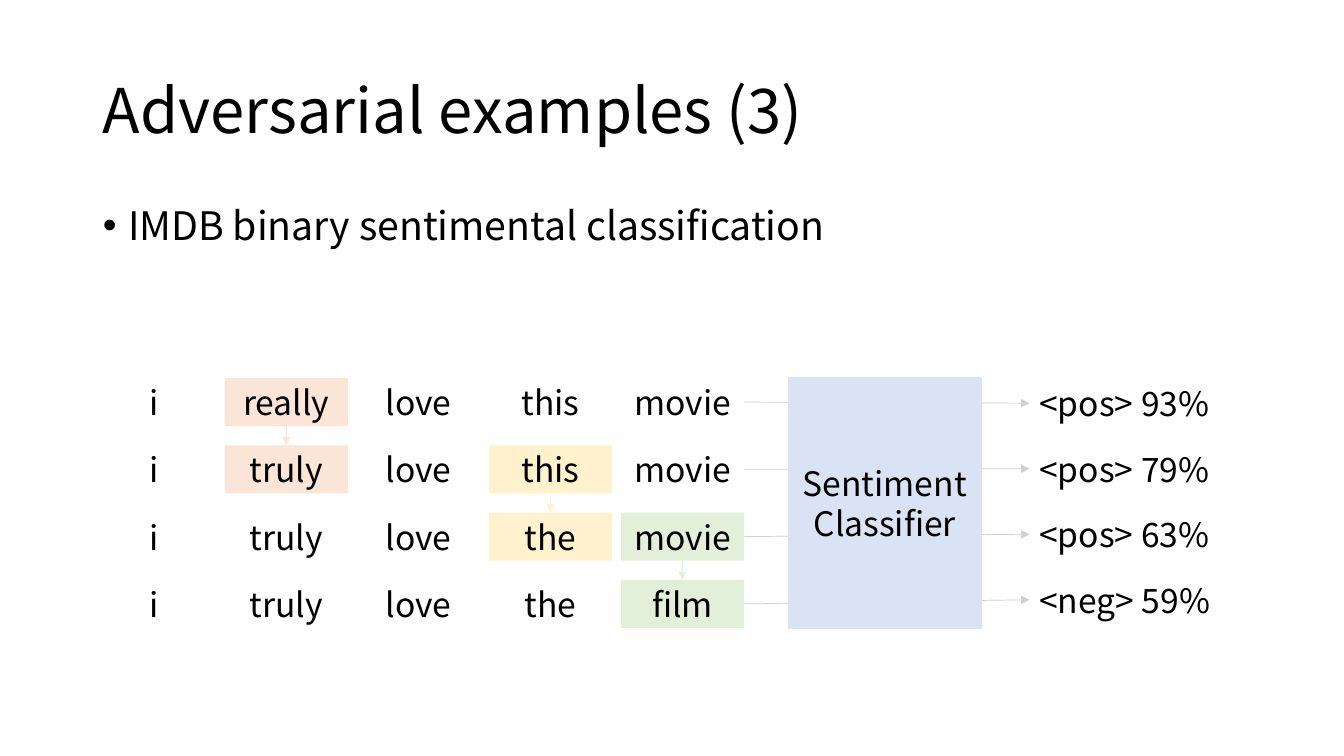
from lxml import etree
from pptx import Presentation
from pptx.dml.color import RGBColor
from pptx.enum.shapes import MSO_CONNECTOR, MSO_SHAPE
from pptx.enum.text import MSO_ANCHOR, MSO_AUTO_SIZE, PP_ALIGN
from pptx.oxml.ns import qn
from pptx.util import Inches, Pt

RECTANGLE = MSO_SHAPE.RECTANGLE
STRAIGHT = MSO_CONNECTOR.STRAIGHT
MIDDLE, TOP = MSO_ANCHOR.MIDDLE, MSO_ANCHOR.TOP
LEFT, CENTER = PP_ALIGN.LEFT, PP_ALIGN.CENTER
NO_AUTOFIT = MSO_AUTO_SIZE.NONE
SIDE_TOP, SIDE_LEFT, SIDE_BOTTOM, SIDE_RIGHT = range(4)

FONT = "Noto Sans CJK SC"
COLORS = {
    "text": "000000",
    "orange": "FBE5D6",
    "yellow": "FFF2CC",
    "green": "E2F0D9",
    "classifier": "DAE3F3",
    "flow": "D0CECE",
}

SENTENCES = [
    "i really love this movie",
    "i truly love this movie",
    "i truly love the movie",
    "i truly love the film",
]
# Column of the word swapped between each sentence and the next, with its color
SWAPS = [(1, "orange"), (3, "yellow"), (4, "green")]
PREDICTIONS = ["<pos> 93%", "<pos> 79%", "<pos> 63%", "<neg> 59%"]


def color(name):
    return RGBColor.from_string(COLORS[name])


def place(shape, box):
    shape.left, shape.top, shape.width, shape.height = (Inches(value) for value in box)


def write(shape, lines, size, align=LEFT, anchor=TOP):
    frame = shape.text_frame
    frame.word_wrap = True
    frame.auto_size = NO_AUTOFIT
    frame.vertical_anchor = anchor
    for index, line in enumerate(lines):
        para = frame.paragraphs[0] if index == 0 else frame.add_paragraph()
        para.alignment = align
        span = para.add_run()
        span.text = line
        span.font.name = FONT
        span.font.size = Pt(size)
        span.font.color.rgb = color("text")
    return frame


def add_box(page, box, lines, fill=None, align=CENTER, anchor=MIDDLE):
    """Add a filled rectangle, or a plain text box when there is no fill."""
    lengths = [Inches(value) for value in box]
    if fill:
        shape = page.shapes.add_shape(RECTANGLE, *lengths)
        shape.shadow.inherit = False
        shape.fill.solid()
        shape.fill.fore_color.rgb = color(fill)
        shape.line.fill.background()
    else:
        shape = page.shapes.add_textbox(*lengths)
    write(shape, lines, 24, align, anchor)
    return shape


def add_arrow(page, start, start_side, end, end_side, line_color, width):
    arrow = page.shapes.add_connector(STRAIGHT, 0, 0, 0, 0)
    arrow.begin_connect(start, start_side)
    arrow.end_connect(end, end_side)
    arrow.line.color.rgb = color(line_color)
    arrow.line.width = Pt(width)
    etree.SubElement(arrow.line._get_or_add_ln(), qn("a:tailEnd"), type="triangle")
    etree.SubElement(arrow._element.spPr, qn("a:effectLst"))


def add_title(page, box, text):
    title = page.shapes.title
    place(title, box)
    frame = write(title, [text], 44, anchor=MIDDLE)
    frame.paragraphs[0].line_spacing = 0.9


def add_bullet(page, box, text):
    body = page.placeholders[1]
    place(body, box)
    para = write(body, [text], 28).paragraphs[0]
    para.line_spacing = 0.9
    para.space_before = Pt(0)
    properties = para._p.get_or_add_pPr()
    properties.set("marL", str(Inches(0.25)))
    properties.set("indent", str(-Inches(0.25)))
    etree.SubElement(properties, qn("a:buFont"), typeface="Arial")
    etree.SubElement(properties, qn("a:buChar"), char="•")


def add_sentences(page, box):
    """Lay the words out in a grid, mark each swap, and return the last words."""
    left, top, width, height = box
    gap_x, gap_y = 0.09, 0.19
    rows = [sentence.split() for sentence in SENTENCES]
    cell_width = (width + gap_x) / len(rows[0]) - gap_x
    cell_height = (height + gap_y) / len(rows) - gap_y
    fills = {}
    for row, (column, fill) in enumerate(SWAPS):
        fills[row, column] = fills[row + 1, column] = fill
    cells = {}
    for row, words in enumerate(rows):
        for column, word in enumerate(words):
            cell_box = (left + column * (cell_width + gap_x),
                        top + row * (cell_height + gap_y), cell_width, cell_height)
            cells[row, column] = add_box(page, cell_box, [word], fills.get((row, column)))
    for row, (column, fill) in enumerate(SWAPS):
        add_arrow(page, cells[row, column], SIDE_BOTTOM,
                  cells[row + 1, column], SIDE_TOP, fill, 1)
    return [cells[row, len(words) - 1] for row, words in enumerate(rows)]


def add_predictions(page, box, last_words):
    left, top, width, height = box
    row_height = 0.5
    pitch = (height - row_height) / (len(PREDICTIONS) - 1)
    labels = [
        add_box(page, (left, top + row * pitch, width, row_height), [text],
                align=LEFT, anchor=TOP)
        for row, text in enumerate(PREDICTIONS)
    ]
    for word, label in zip(last_words, labels):
        add_arrow(page, word, SIDE_RIGHT, label, SIDE_LEFT, "flow", 0.5)


def add_classifier(page, box):
    classifier = add_box(page, box, ["Sentiment", "Classifier"], "classifier")
    classifier.line.color.rgb = color("classifier")
    classifier.line.width = Pt(1)


def main():
    deck = Presentation()
    deck.slide_width, deck.slide_height = Inches(13.33), Inches(7.5)
    page = deck.slides.add_slide(deck.slide_layouts[1])
    add_title(page, (0.92, 0.4, 11.5, 1.45), "Adversarial examples (3)")
    add_bullet(page, (0.92, 2, 11.5, 4.76), "IMDB binary sentimental classification")
    last_words = add_sentences(page, (0.92, 3.75, 6.46, 2.48))
    add_predictions(page, (10.21, 3.75, 2.33, 2.45), last_words)
    add_classifier(page, (7.82, 3.75, 1.91, 2.48))
    deck.save("out.pptx")


if __name__ == "__main__":
    main()
